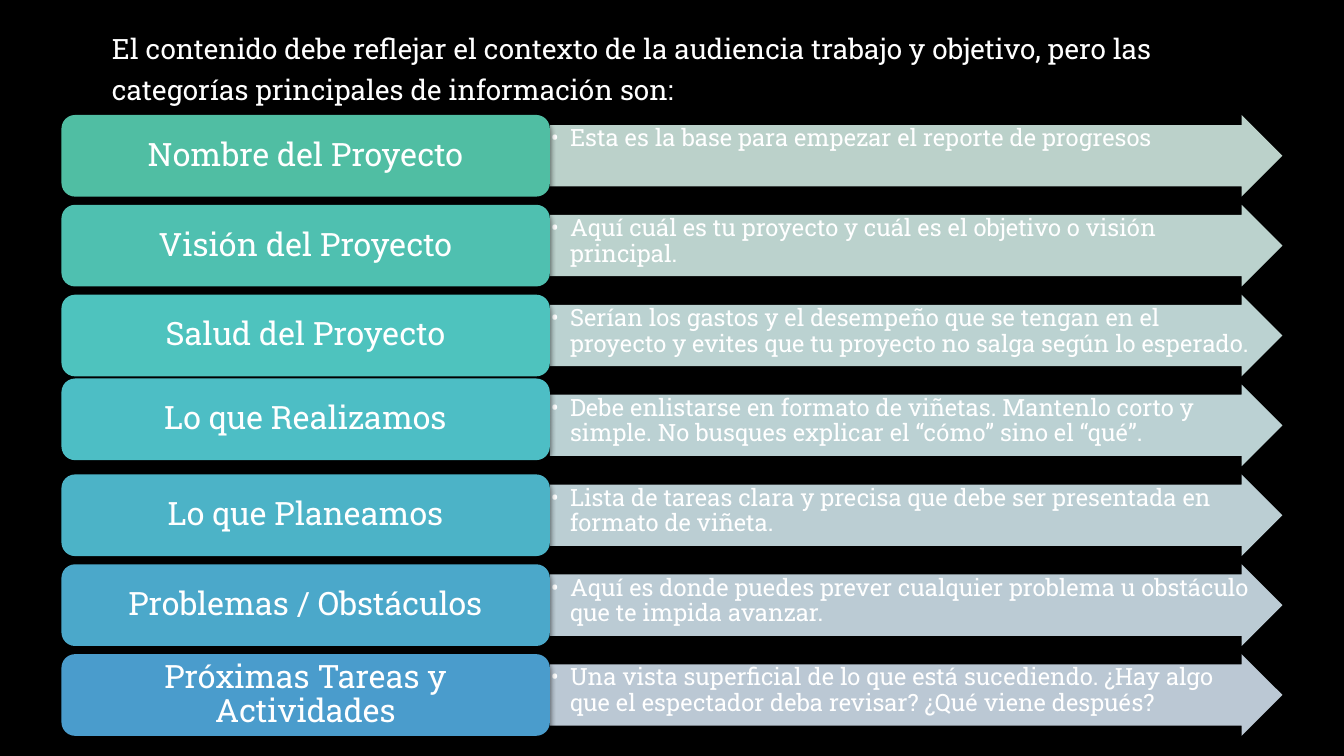
import pptx
import pptx.util
import pptx.dml.color
import pptx.enum.shapes
import pptx.enum.text
import pptx.oxml
import pptx.oxml.ns
from dataclasses import dataclass

Inch = pptx.util.Inches
Kind = pptx.enum.shapes.MSO_SHAPE
Align = pptx.enum.text.PP_ALIGN
Anchor = pptx.enum.text.MSO_ANCHOR
WIDE, HIGH = 13.33, 7.5


@dataclass(frozen=True)
class Theme:
    font: str = "Roboto Slab"
    back: str = "000000"
    ink: str = "FFFFFF"
    lead: int = 20
    label: int = 23
    note: int = 17
    bars: tuple = ("50BEA3", "4FC0B0", "4EC3BE", "4DBEC5",
                   "4CB3C7", "4BA8CA", "4A9CCC")
    tips: tuple = ("D0E8E0", "D0E9E4", "D0E9E8", "D0E8EA",
                   "D0E5EB", "D0E2EC", "D0DEEC")


THEME = Theme()

LEAD = ("El contenido debe reflejar el contexto de la audiencia trabajo y "
        "objetivo, pero las categorías principales de información son:")

# Label, note, and shift of the label bar in inches
ROWS = [
    ("Nombre del Proyecto",
     "Esta es la base para empezar el reporte de progresos", 0),
    ("Visión del Proyecto",
     "Aquí cuál es tu proyecto y cuál es el objetivo o visión principal.", 0),
    ("Salud del Proyecto",
     "Serían los gastos y el desempeño que se tengan en el proyecto y evites "
     "que tu proyecto no salga según lo esperado.", 0),
    ("Lo que Realizamos",
     "Debe enlistarse en formato de viñetas. Mantenlo corto y simple. "
     "No busques explicar el “cómo” sino el “qué”.", -0.06),
    ("Lo que Planeamos",
     "Lista de tareas clara y precisa que debe ser presentada en formato "
     "de viñeta.", 0),
    ("Problemas / Obstáculos",
     "Aquí es donde puedes prever cualquier problema u obstáculo que te "
     "impida avanzar.", 0),
    ("Próximas Tareas y Actividades",
     "Una vista superficial de lo que está sucediendo. ¿Hay algo que el "
     "espectador deba revisar? ¿Qué viene después?", 0),
]


def tint(code):
    return pptx.dml.color.RGBColor.from_string(code)


def node(tag, **attrs):
    part = pptx.oxml.parse_xml(f"<{tag} {pptx.oxml.ns.nsdecls('a')}/>")
    for name, value in attrs.items():
        part.set(name, str(value))
    return part


def write(shape, text, size, align=Align.LEFT, anchor=Anchor.TOP,
          inset=(0.1, 0.05, 0.1, 0.05), line=0.9, before=0, hang=0):
    """Fill the shape with one paragraph; hang gives it a bullet."""
    frame = shape.text_frame
    frame.word_wrap = True
    frame.auto_size = pptx.enum.text.MSO_AUTO_SIZE.NONE
    frame.vertical_anchor = anchor
    (frame.margin_left, frame.margin_top,
     frame.margin_right, frame.margin_bottom) = map(Inch, inset)
    para = frame.paragraphs[0]
    para.alignment = align
    para.line_spacing = line
    para.space_before = pptx.util.Pt(before)
    run = para.add_run()
    run.text = text
    run.font.name = THEME.font
    run.font.size = pptx.util.Pt(size)
    run.font.color.rgb = tint(THEME.ink)
    props = para._p.get_or_add_pPr()
    props.set("marL", str(Inch(hang)))
    props.set("indent", str(Inch(-hang)))
    if hang:
        props.append(node("a:buFont", typeface=THEME.font))
        props.append(node("a:buChar", char="•"))
    else:
        props.append(node("a:buNone"))


def block(slide, kind, box, fill):
    shape = slide.shapes.add_shape(kind, *map(Inch, box))
    shape.shadow.inherit = False
    shape.fill.solid()
    shape.fill.fore_color.rgb = tint(fill)
    shape.line.fill.background()
    return shape


def fade(shape, share):
    color = shape._element.spPr.find(".//" + pptx.oxml.ns.qn("a:srgbClr"))
    color.append(node("a:alpha", val=share * 1000))


def shade(shape):
    """Soft shadow straight below the shape."""
    effects = shape._element.spPr.find(pptx.oxml.ns.qn("a:effectLst"))
    cast = node("a:outerShdw", blurRad=pptx.util.Pt(4), dist=pptx.util.Pt(3),
                dir=90 * 60000, rotWithShape=0)
    color = node("a:srgbClr", val=THEME.back)
    color.append(node("a:alpha", val=54000))
    cast.append(color)
    effects.append(cast)


def intro(slide, box):
    body = slide.placeholders[1]
    body.left, body.top, body.width, body.height = map(Inch, box)
    write(body, LEAD, THEME.lead, line=1.2, before=10)


def row(slide, box, item, bar, tip):
    left, top, wide, high = box
    label, note, shift = item
    split = wide * 0.4

    # Arrow with the note, whose text may run up to the arrowhead
    arrow = block(slide, Kind.RIGHT_ARROW,
                  (left + split, top, wide - split, high), tip)
    arrow.adjustments[0], arrow.adjustments[1] = 0.75, 0.5
    fade(arrow, 90)
    write(arrow, note, THEME.note, inset=(0.01, 0.01, 0, 0.01), hang=0.19)

    # Bar with the label
    head = block(slide, Kind.ROUNDED_RECTANGLE,
                 (left, top + shift, split, high), bar)
    shade(head)
    write(head, label, THEME.label, align=Align.CENTER, anchor=Anchor.MIDDLE)


def chart(slide, box):
    """Stack the rows evenly, with a gap of a tenth of a row."""
    left, top, wide, high = box
    tall = high / (len(ROWS) + 0.1 * (len(ROWS) - 1))
    for i, (item, bar, tip) in enumerate(zip(ROWS, THEME.bars, THEME.tips)):
        row(slide, (left, top + i * tall * 1.1, wide, tall), item, bar, tip)


def main():
    deck = pptx.Presentation()
    deck.slide_width, deck.slide_height = Inch(WIDE), Inch(HIGH)
    slide = deck.slides.add_slide(deck.slide_layouts[1])
    title = slide.shapes.title._element
    title.getparent().remove(title)
    slide.background.fill.solid()
    slide.background.fill.fore_color.rgb = tint(THEME.back)

    intro(slide, (1.01, 0.2, 11.32, 0.94))
    chart(slide, (0.61, 1.14, 12.11, 6.16))
    deck.save("out.pptx")


if __name__ == "__main__":
    main()
